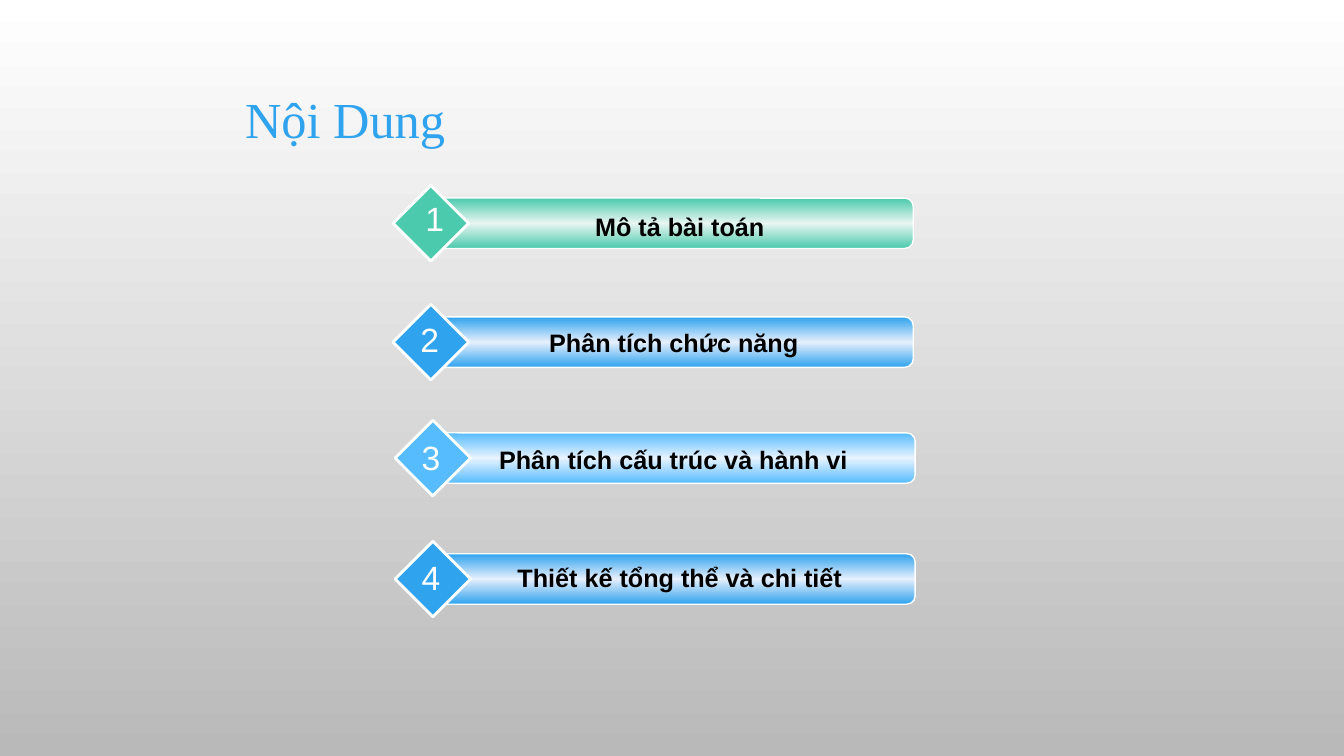
from copy import deepcopy
from dataclasses import dataclass

from pptx import Presentation
from pptx.dml.color import RGBColor
from pptx.enum.shapes import MSO_SHAPE
from pptx.enum.text import MSO_ANCHOR, MSO_AUTO_SIZE, PP_ALIGN
from pptx.oxml.ns import qn
from pptx.util import Pt

ROUNDED = MSO_SHAPE.ROUNDED_RECTANGLE
DIAMOND = MSO_SHAPE.DIAMOND
LEFT = PP_ALIGN.LEFT
CENTER = PP_ALIGN.CENTER
MIDDLE = MSO_ANCHOR.MIDDLE
TOP = MSO_ANCHOR.TOP
GROW = MSO_AUTO_SIZE.SHAPE_TO_FIT_TEXT
TITLE_ONLY = 5
DOWNWARD = 270


@dataclass(frozen=True)
class Theme:
    white: str = "FFFFFF"
    black: str = "000000"
    background_end: str = "B9B9B9"
    green: str = "4BCAAD"
    green_glow: str = "E8F5F1"
    blue: str = "2FA3EE"
    blue_glow: str = "E6EFFC"
    sky: str = "56BCFE"
    sky_glow: str = "E8F3FF"
    title_font: str = "Times New Roman"
    body_font: str = "Arial"
    title_size: int = 36
    number_size: int = 24
    label_size: int = 18


@dataclass(frozen=True)
class Topic:
    number: str
    text: str
    color: str
    glow: str
    left: float
    top: float
    label_box: tuple
    number_box: tuple


THEME = Theme()
DIAMOND_SIZE = 54
BAR_WIDTH, BAR_HEIGHT = 342, 36
BAR_INSET = 29.5
LABEL_HEIGHT = 29
NUMBER_WIDTH, NUMBER_HEIGHT = 28, 36

TOPICS = [
    Topic("1", "Mô tả bài toán", THEME.green, THEME.green_glow,
          280.8, 132.5, (350.6, 147.6, 270), (296.6, 138.2)),
    Topic("2", "Phân tích chức năng", THEME.blue, THEME.blue_glow,
          280.8, 217.4, (346.3, 230.4, 270), (293, 224.6)),
    Topic("3", "Phân tích cấu trúc và hành vi", THEME.sky, THEME.sky_glow,
          282.2, 300.2, (329.8, 313.9, 302.4), (293.8, 308.2)),
    Topic("4", "Thiết kế tổng thể và chi tiết", THEME.blue, THEME.blue_glow,
          282.2, 386.6, (350.6, 398.2, 270), (293.8, 394.6)),
]


def set_attributes(target, values):
    for name, value in values.items():
        setattr(target, name, value)


def box(*lengths):
    return [Pt(length) for length in lengths]


def fill_gradient(fill, element, colors):
    fill.gradient()
    fill.gradient_angle = DOWNWARD
    stop_list = element.find(".//" + qn("a:gsLst"))
    while len(stop_list) < len(colors):
        stop_list.append(deepcopy(stop_list[0]))
    for index, (stop, color) in enumerate(zip(fill.gradient_stops, colors)):
        stop.color.rgb = RGBColor.from_string(color)
        stop.position = index / (len(colors) - 1)


def write_text(shape, text, frame_format, alignment, color, font_format):
    frame = shape.text_frame
    set_attributes(frame, frame_format)
    paragraph = frame.paragraphs[0]
    paragraph.alignment = alignment
    run = paragraph.add_run()
    run.text = text
    set_attributes(run.font, font_format)
    run.font.color.rgb = RGBColor.from_string(color)


def add_outlined_shape(shapes, kind, bounds, line_width):
    shape = shapes.add_shape(kind, *box(*bounds))
    shape.shadow.inherit = False
    shape.line.color.rgb = RGBColor.from_string(THEME.white)
    shape.line.width = Pt(line_width)
    return shape


def add_centered_text(shapes, bounds, text, wrap, color, size, bold):
    write_text(
        shapes.add_textbox(*box(*bounds)), text,
        {"word_wrap": wrap, "auto_size": GROW, "vertical_anchor": TOP},
        CENTER, color,
        {"name": THEME.body_font, "size": Pt(size), "bold": bold},
    )


def add_topic(slide, topic):
    shapes = slide.shapes.add_group_shape().shapes
    bar_top = topic.top + (DIAMOND_SIZE - BAR_HEIGHT) / 2
    bar = add_outlined_shape(
        shapes, ROUNDED,
        (topic.left + BAR_INSET, bar_top, BAR_WIDTH, BAR_HEIGHT), 1)
    fill_gradient(bar.fill, bar.element, [topic.color, topic.glow, topic.color])

    diamond = add_outlined_shape(
        shapes, DIAMOND,
        (topic.left, topic.top, DIAMOND_SIZE, DIAMOND_SIZE), 2)
    diamond.fill.solid()
    diamond.fill.fore_color.rgb = RGBColor.from_string(topic.color)

    add_centered_text(shapes, (*topic.label_box, LABEL_HEIGHT), topic.text,
                      True, THEME.black, THEME.label_size, True)
    add_centered_text(shapes, (*topic.number_box, NUMBER_WIDTH, NUMBER_HEIGHT),
                      topic.number, False, THEME.white, THEME.number_size, False)


def add_title(slide, text):
    title = slide.shapes.title
    left, top, width, height = box(167.8, 59, 641.5, 51)
    set_attributes(title, {"left": left, "top": top, "width": width, "height": height})
    write_text(
        title, text,
        {"word_wrap": True, "auto_size": GROW, "vertical_anchor": MIDDLE},
        LEFT, THEME.blue,
        {"name": THEME.title_font, "size": Pt(THEME.title_size), "bold": False},
    )


def main():
    presentation = Presentation()
    set_attributes(presentation, {"slide_width": Pt(960), "slide_height": Pt(540)})
    slide = presentation.slides.add_slide(presentation.slide_layouts[TITLE_ONLY])
    fill_gradient(slide.background.fill, slide.element,
                  [THEME.white, THEME.background_end])
    add_title(slide, "Nội Dung")
    for topic in TOPICS:
        add_topic(slide, topic)
    presentation.save("out.pptx")


if __name__ == "__main__":
    main()
